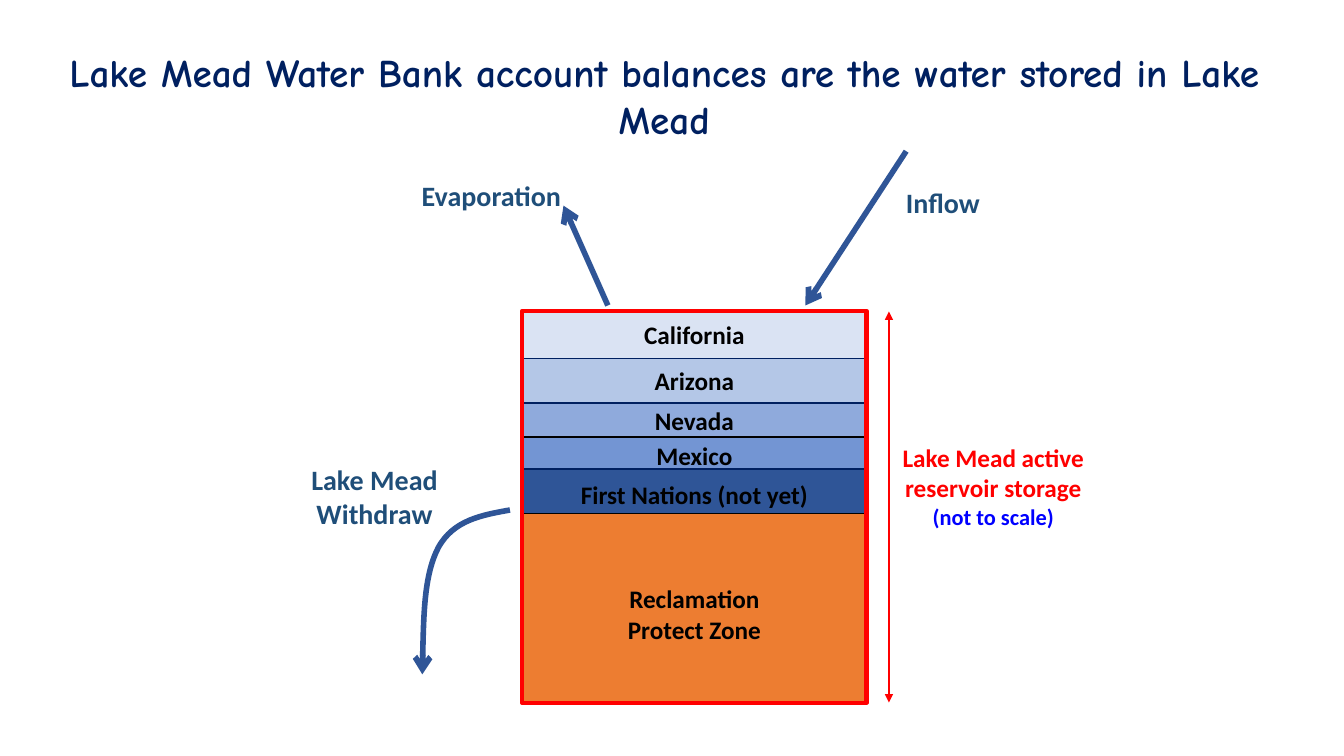
"""Build the Lake Mead water bank slide."""
from itertools import accumulate

from lxml.etree import SubElement
from pptx import Presentation
from pptx.dml.color import RGBColor
from pptx.enum.shapes import MSO_CONNECTOR, MSO_SHAPE
from pptx.enum.text import MSO_ANCHOR, MSO_AUTO_SIZE, PP_ALIGN
from pptx.oxml.ns import qn
from pptx.util import Pt


class Theme:
    """Fonts, colours and type sizes."""
    head, body = "Comic Neue", "Calibri"
    navy, steel, flow = "002060", "1F4E79", "2F5597"
    black, red, blue = "000000", "FF0000", "0000FF"
    title, label, band, note = 28, 20, 18, 16


TITLE = "Lake Mead Water Bank account balances are the water stored in Lake Mead"
TANK = (373, 222, 246, 280)
BANDS = [
    ("California", "DAE3F3", Theme.navy, 34, 36, 0),
    ("Arizona", "B4C7E7", Theme.navy, 32, 36, 0),
    ("Nevada", "8FAADC", Theme.navy, 24, 36, 0),
    ("Mexico", "7395D3", Theme.black, 23, 36, 3),
    ("First Nations (not yet)", "2F5597", Theme.navy, 32, 36, 4),
    ("Reclamation Protect Zone", "ED7D31", Theme.black, 135, 56, 8),
]
LABELS = [
    ("Inflow", (604, 129, 139, 32)),
    ("Lake Mead Withdraw", (213, 327, 109, 55)),
    ("Evaporation", (281.5, 124, 139, 32)),
]
STORAGE = [
    ("Lake Mead active reservoir storage", Theme.band, Theme.red),
    ("(not to scale)", Theme.note, Theme.blue),
]
FLOWS = [(647.3, 108, 575.3, 218.2), (434.2, 218.2, 402.5, 146.9)]
SPAN = (635, 222.5, 635, 501.8)
BEND = [(364.3, 364.3), (344.2, 367.9), (324, 371.5), (313.2, 391),
        (303.1, 410.4), (302.4, 445.7), (301.7, 481.7)]


def pts(vals):
    return [Pt(v) for v in vals]


def put(frame, text, size, color, font=Theme.body, new=False):
    frame.word_wrap = True
    para = frame.add_paragraph() if new else frame.paragraphs[0]
    para.alignment = PP_ALIGN.CENTER
    run = para.add_run()
    run.text = text
    run.font.name, run.font.size, run.font.bold = font, Pt(size), True
    run.font.color.rgb = RGBColor.from_string(color)


def stroke(shape, color, width, head=None, tail=None):
    shape.line.color.rgb = RGBColor.from_string(color)
    shape.line.width = Pt(width)
    line = shape.element.spPr.find(qn("a:ln"))
    for tag, kind in (("a:headEnd", head), ("a:tailEnd", tail)):
        if kind:
            SubElement(line, qn(tag), type=kind)


def link(shapes, ends, color, width, **tips):
    line = shapes.add_connector(MSO_CONNECTOR.STRAIGHT, *pts(ends))
    stroke(line, color, width, **tips)
    SubElement(line.element.spPr, qn("a:effectLst"))


def block(shapes, box, edge, width, fill=None):
    rect = shapes.add_shape(MSO_SHAPE.RECTANGLE, *pts(box))
    rect.shadow.inherit = False
    if fill:
        rect.fill.solid()
        rect.fill.fore_color.rgb = RGBColor.from_string(fill)
    else:
        rect.fill.background()
    stroke(rect, edge, width)
    return rect


def bend(shapes, dots):
    first, *rest = [pts(dot) for dot in dots]
    form = shapes.build_freeform(*first)
    form.add_line_segments(rest, close=False)
    curve = form.convert_to_shape()
    curve.shadow.inherit = False
    curve.fill.background()
    stroke(curve, Theme.flow, 4, tail="arrow")
    steps = list(curve.element.iter(qn("a:lnTo")))
    for i in range(0, len(steps), 3):
        arc = SubElement(steps[i].getparent(), qn("a:cubicBezTo"))
        for step in steps[i:i + 3]:
            arc.append(step[0])
            step.getparent().remove(step)


def main():
    deck = Presentation()
    deck.slide_width, deck.slide_height = Pt(960), Pt(540)
    shapes = deck.slides.add_slide(deck.slide_layouts[5]).shapes

    title = shapes.title
    title.left, title.top, title.width, title.height = pts((27.4, 31, 894, 75))
    title.text_frame.auto_size = MSO_AUTO_SIZE.NONE
    title.text_frame.vertical_anchor = MSO_ANCHOR.TOP
    put(title.text_frame, TITLE, Theme.title, Theme.navy, font=Theme.head)

    left, top, width, _ = TANK
    tops = accumulate((band[3] for band in BANDS), initial=top)
    for y, (name, fill, edge, high, side, drop) in zip(tops, BANDS):
        frame = block(shapes, (left, y, width, high), edge, 1, fill).text_frame
        frame.margin_left = frame.margin_right = Pt(side)
        frame.margin_top, frame.margin_bottom = Pt(drop), 0
        frame.vertical_anchor = MSO_ANCHOR.MIDDLE
        put(frame, name, Theme.band, Theme.black)
    block(shapes, TANK, Theme.red, 3)

    for text, box in LABELS:
        put(shapes.add_textbox(*pts(box)).text_frame, text, Theme.label, Theme.steel)
    frame = shapes.add_textbox(*pts((635, 312.5, 149, 70.5))).text_frame
    for i, (text, size, color) in enumerate(STORAGE):
        put(frame, text, size, color, new=i > 0)

    for ends in FLOWS:
        link(shapes, ends, Theme.flow, 4, tail="arrow")
    link(shapes, SPAN, Theme.red, 1.5, head="triangle", tail="triangle")
    bend(shapes, BEND)
    deck.save("out.pptx")


if __name__ == "__main__":
    main()
